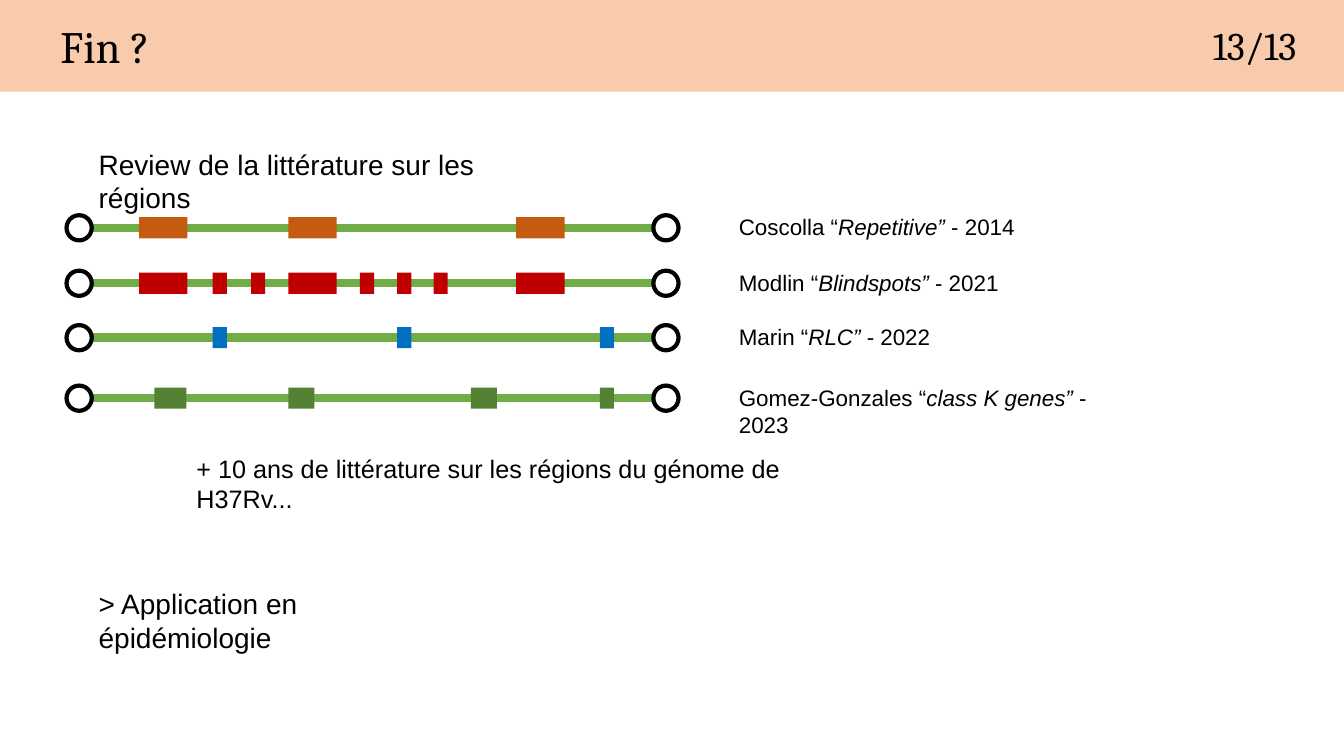
from dataclasses import dataclass

from lxml import etree
from pptx import Presentation
from pptx.dml.color import RGBColor
from pptx.enum.shapes import MSO_CONNECTOR, MSO_SHAPE
from pptx.enum.text import MSO_ANCHOR, MSO_AUTO_SIZE, PP_ALIGN
from pptx.oxml.ns import qn
from pptx.util import Inches, Pt

RECTANGLE = MSO_SHAPE.RECTANGLE
OVAL = MSO_SHAPE.OVAL
STRAIGHT = MSO_CONNECTOR.STRAIGHT

BLACK, WHITE, PEACH, GENOME_GREEN = "000000", "FFFFFF", "F8CBAD", "70AD47"
GENOME_LEFT, GENOME_RIGHT = 0.91, 6.48
END_SIZE, REGION_HEIGHT = 0.25, 0.21
LABEL_LEFT, LABEL_WIDTH, LABEL_RISE = 7.23, 4.05, 0.19
LARGE, MEDIUM, SMALL = 0.48, 0.26, 0.14


@dataclass
class Region:
    left: float
    width: float = SMALL


@dataclass
class Study:
    author: str
    term: str
    year: int
    middle: float
    color: str
    regions: list[Region]


@dataclass
class Note:
    text: str
    left: float
    top: float
    width: float
    height: float
    size: int
    font: str = "Arial"


REPETITIVE = [Region(1.38, LARGE), Region(2.86, LARGE), Region(5.12, LARGE)]
STUDIES = [
    Study("Coscolla", "Repetitive", 2014, 2.26, "C55A11", REPETITIVE),
    Study("Modlin", "Blindspots", 2021, 2.81, "C00000",
          REPETITIVE + [Region(left) for left in (2.11, 2.49, 3.57, 3.94, 4.3)]),
    Study("Marin", "RLC", 2022, 3.35, "0070C0",
          [Region(left) for left in (2.11, 3.94, 5.95)]),
    Study("Gomez-Gonzales", "class K genes", 2023, 3.95, "548235",
          [Region(1.53, 0.32), Region(2.86, MEDIUM), Region(4.67, MEDIUM),
           Region(5.95)]),
]
NOTES = [
    Note("Review de la littérature sur les régions", 0.88, 1.41, 4.48, 0.44, 20),
    Note("+ 10 ans de littérature sur les régions du génome de H37Rv...",
         1.85, 4.45, 6.33, 0.4, 18),
    Note("> Application en épidémiologie", 0.88, 5.77, 3.73, 0.44, 20),
    Note("13/13", 11.93, 0.16, 1.25, 0.57, 28, "Cambria"),
]


def rgb(color: str) -> RGBColor:
    return RGBColor.from_string(color)


def style_span(span, size: int, font: str = "Arial", italic: bool = False) -> None:
    span.font.size = Pt(size)
    span.font.name = font
    span.font.italic = italic
    span.font.color.rgb = rgb(BLACK)


def add_title(page, text: str) -> None:
    """Turn the title placeholder into the band across the top."""
    title = page.shapes.title
    title.left, title.top = Inches(0), Inches(0)
    title.width, title.height = Inches(13.33), Inches(0.91)
    title.fill.solid()
    title.fill.fore_color.rgb = rgb(PEACH)
    frame = title.text_frame
    frame.text = text
    frame.auto_size = MSO_AUTO_SIZE.NONE
    frame.vertical_anchor = MSO_ANCHOR.MIDDLE
    frame.margin_left = Inches(0.6)
    para = frame.paragraphs[0]
    para.alignment = PP_ALIGN.JUSTIFY
    para.line_spacing = 1.0
    style_span(para.runs[0], 32, "Cambria")


def add_text_frame(page, left: float, top: float, width: float, height: float):
    box = page.shapes.add_textbox(
        Inches(left), Inches(top), Inches(width), Inches(height))
    box.text_frame.word_wrap = True
    box.text_frame.auto_size = MSO_AUTO_SIZE.SHAPE_TO_FIT_TEXT
    return box.text_frame


def add_note(page, note: Note) -> None:
    frame = add_text_frame(page, note.left, note.top, note.width, note.height)
    frame.text = note.text
    style_span(frame.paragraphs[0].runs[0], note.size, note.font)


def add_centred_shape(page, preset, left: float, middle: float, width: float,
                      height: float, color: str):
    """Add a borderless shape whose vertical centre is at middle."""
    shape = page.shapes.add_shape(preset, Inches(left), Inches(middle - height / 2),
                                  Inches(width), Inches(height))
    shape.shadow.inherit = False
    shape.fill.solid()
    shape.fill.fore_color.rgb = rgb(color)
    shape.line.fill.background()
    return shape


def add_genome(page, study: Study) -> None:
    middle = Inches(study.middle)
    genome = page.shapes.add_connector(
        STRAIGHT, Inches(GENOME_LEFT), middle, Inches(GENOME_RIGHT), middle)
    genome.line.color.rgb = rgb(GENOME_GREEN)
    genome.line.width = Pt(6)
    etree.SubElement(genome.element.spPr, qn("a:effectLst"))
    for left in (GENOME_LEFT - END_SIZE, GENOME_RIGHT):
        end = add_centred_shape(page, OVAL, left, study.middle, END_SIZE, END_SIZE, WHITE)
        end.line.color.rgb = rgb(BLACK)
        end.line.width = Pt(3)
    for region in study.regions:
        add_centred_shape(page, RECTANGLE, region.left, study.middle, region.width,
                          REGION_HEIGHT, study.color)


def add_label(page, study: Study) -> None:
    frame = add_text_frame(
        page, LABEL_LEFT, study.middle - LABEL_RISE, LABEL_WIDTH, 0.37)
    para = frame.paragraphs[0]
    for text, italic in ((f"{study.author} “", False), (f"{study.term}”", True),
                         (f" - {study.year}", False)):
        span = para.add_run()
        span.text = text
        style_span(span, 16, italic=italic)


def main() -> None:
    deck = Presentation()
    deck.slide_width, deck.slide_height = Inches(13.33), Inches(7.5)
    page = deck.slides.add_slide(deck.slide_layouts[5])
    add_title(page, "Fin ?")
    for note in NOTES:
        add_note(page, note)
    for study in STUDIES:
        add_genome(page, study)
        add_label(page, study)
    deck.save("out.pptx")


if __name__ == "__main__":
    main()
